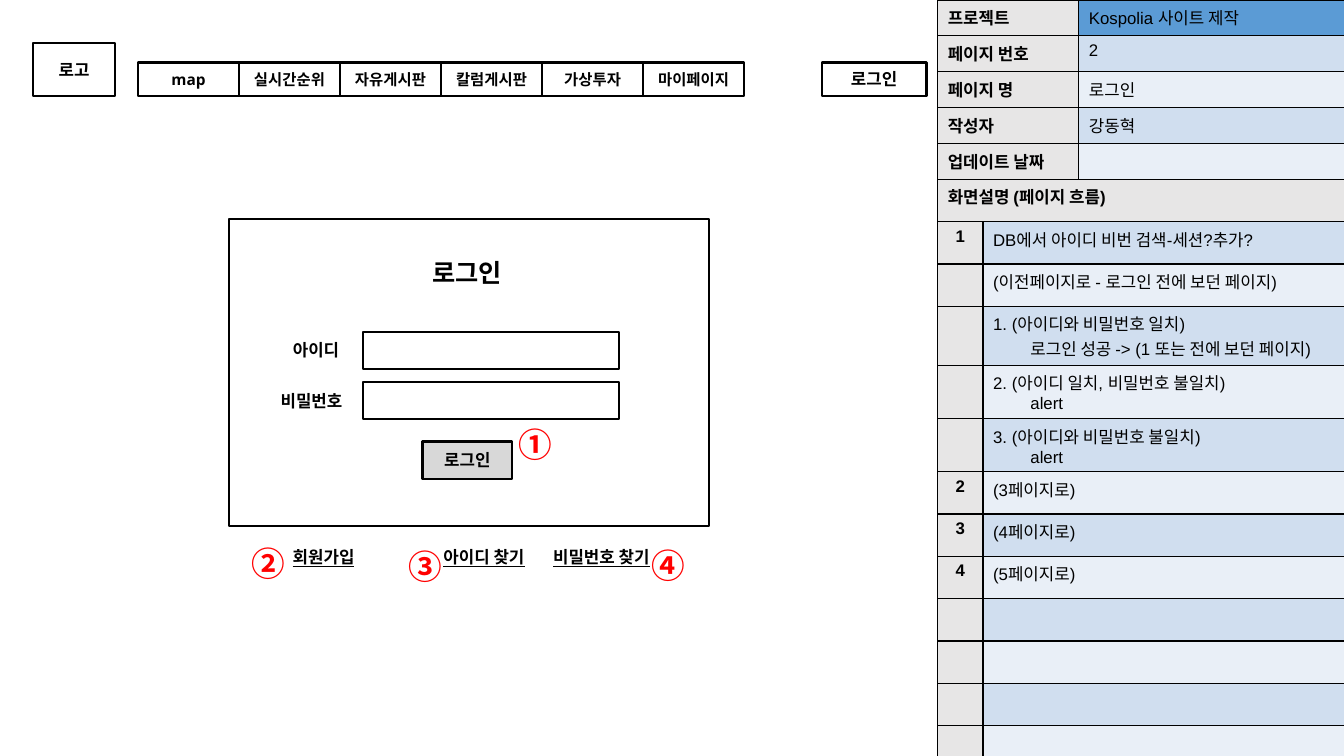
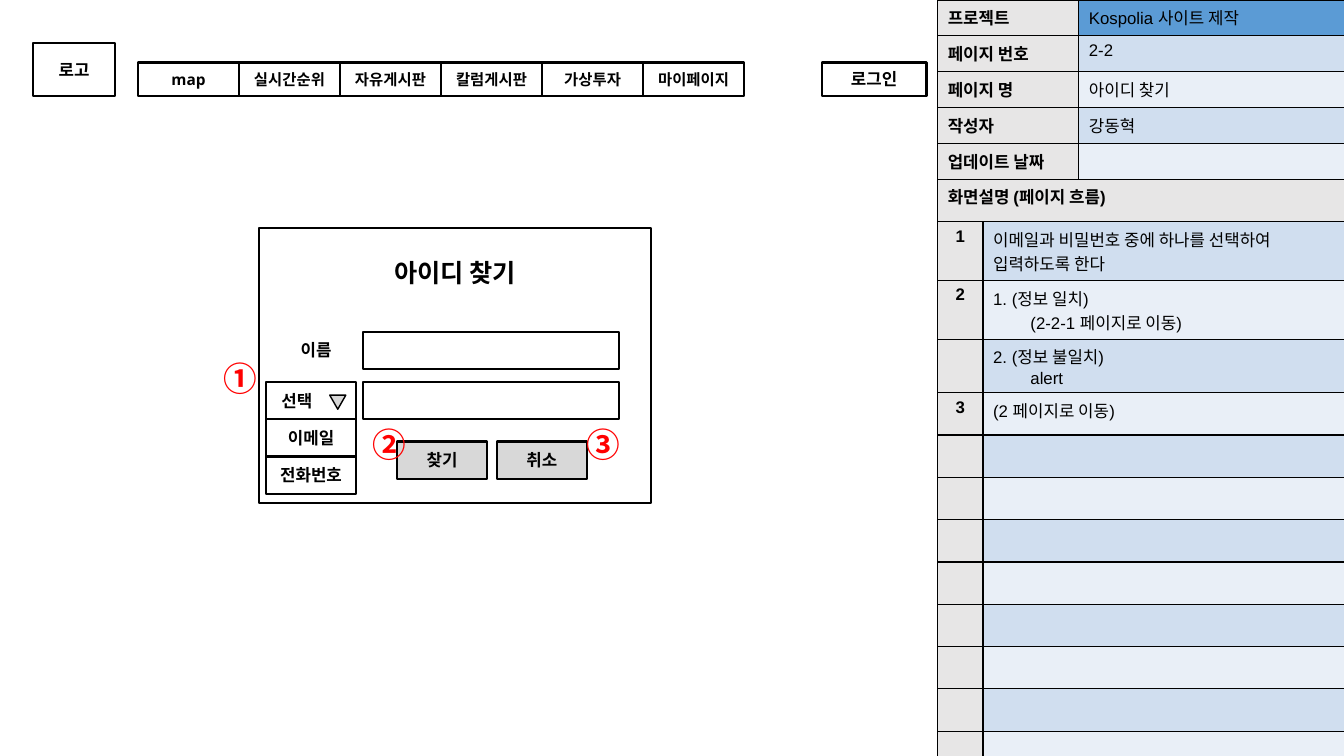
"""Build two wireframe pages with a shared header and a description panel."""
from lxml.etree import SubElement
from pptx import Presentation
from pptx.dml.color import RGBColor
from pptx.enum.shapes import MSO_SHAPE
from pptx.enum.text import MSO_ANCHOR, MSO_AUTO_SIZE, PP_ALIGN
from pptx.oxml.ns import qn
from pptx.util import Inches, Pt

COLORS = {
    "ink": "000000",
    "badge": "FF0000",
    "button": "D8D8D8",
    "label": "E7E6E6",
    "project": "5B9BD5",
    "dark_band": "D0DEEF",
    "light_band": "E9EFF7",
}
WIREFRAME_FONT = "Open Sans"
TABLE_FONT = "Arial"
KOREAN_FONT = "Noto Sans CJK KR"
MENU = ["map", "실시간순위", "자유게시판", "칼럼게시판", "가상투자", "마이페이지"]
PANEL_LEFT = 9.3
FLOW_TOP = 1.78
FLOW_ROWS = 12
FIELD_TOPS = [3.29, 3.79]
CONTROL_HEIGHT = 0.37

LOGIN_FLOW = [
    ("1", ["DB에서 아이디 비번 검색-세션?추가?"], []),
    ("", ["(이전페이지로 - 로그인 전에 보던 페이지)"], []),
    ("", ["1. (아이디와 비밀번호 일치)"], ["로그인 성공 -> (1 또는 전에 보던 페이지)"]),
    ("", ["2. (아이디 일치, 비밀번호 불일치)"], ["alert"]),
    ("", ["3. (아이디와 비밀번호 불일치)"], ["alert"]),
    ("2", ["(3페이지로)"], []),
    ("3", ["(4페이지로)"], []),
    ("4", ["(5페이지로)"], []),
]
FIND_FLOW = [
    ("1", ["이메일과 비밀번호 중에 하나를 선택하여", "입력하도록 한다"], []),
    ("2", ["1. (정보 일치)"], ["(2-2-1 페이지로 이동)"]),
    ("", ["2. (정보 불일치)"], ["alert"]),
    ("3", ["(2 페이지로 이동)"], []),
]


def color(name):
    """Return a palette colour."""
    return RGBColor.from_string(COLORS[name])


def box_of(left, top, width, height):
    """Turn four numbers into lengths."""
    return [Inches(value) for value in (left, top, width, height)]


def style_runs(para, size, font, bold=True, tint="ink", underline=False):
    """Format every run of a paragraph."""
    for span in para.runs:
        span.font.size = Pt(size)
        span.font.bold = bold
        if underline:
            span.font.underline = True
        span.font.color.rgb = color(tint)
        span.font.name = font
        SubElement(span.font._element, qn("a:ea"), typeface=KOREAN_FONT)


def write_label(shape, text, size=12, underline=False, align=PP_ALIGN.CENTER):
    """Write a bold wireframe label, centred vertically."""
    frame = shape.text_frame
    frame.text = text
    frame.word_wrap = True
    frame.auto_size = MSO_AUTO_SIZE.NONE
    frame.vertical_anchor = MSO_ANCHOR.MIDDLE
    frame.margin_left = frame.margin_right = Inches(0.1)
    frame.margin_top = frame.margin_bottom = Inches(0.1)
    para = frame.paragraphs[0]
    para.alignment = align
    style_runs(para, size, WIREFRAME_FONT, underline=underline)


def add_title(page, text, left):
    """Place the form title in the title placeholder."""
    title = page.shapes.title
    title.left, title.top, title.width, title.height = box_of(left, 2.52, 1.81, CONTROL_HEIGHT)
    write_label(title, text, size=18)


def add_outline(page, box, fill=None, kind=MSO_SHAPE.RECTANGLE, weight=1.5):
    """Add an outlined shape."""
    shape = page.shapes.add_shape(kind, *box_of(*box))
    shape.shadow.inherit = False
    shape.line.color.rgb = color("ink")
    shape.line.width = Pt(weight)
    if fill:
        shape.fill.solid()
        shape.fill.fore_color.rgb = color(fill)
    else:
        shape.fill.background()
    return shape


def add_box(page, text, box, fill=None, size=12, align=PP_ALIGN.CENTER):
    """Add an outlined box with a label."""
    shape = add_outline(page, box, fill)
    write_label(shape, text, size, align=align)
    return shape


def add_button(page, text, left):
    """Add a grey form button."""
    add_box(page, text, (left, 4.38, 0.89, CONTROL_HEIGHT), fill="button")


def add_caption(page, text, left, top, width, underline=False):
    """Add a plain or underlined caption."""
    caption = page.shapes.add_textbox(*box_of(left, top, width, CONTROL_HEIGHT))
    write_label(caption, text, underline=underline)


def add_badges(page, places):
    """Add red circled numbers, counted from one."""
    for number, (left, top) in zip("①②③④", places):
        frame = page.shapes.add_textbox(*box_of(left, top, 0.6, 0.5)).text_frame
        frame.text = number
        frame.word_wrap = True
        style_runs(frame.paragraphs[0], 24, KOREAN_FONT, tint="badge")


def add_grid(page, top, widths, heights):
    """Add a plain table in the panel."""
    box = box_of(PANEL_LEFT, top, sum(widths), sum(heights))
    table = page.shapes.add_table(len(heights), len(widths), *box).table
    table.first_row = table.horz_banding = False
    for column, width in zip(table.columns, widths):
        column.width = Inches(width)
    for row, height in zip(table.rows, heights):
        row.height = Inches(height)
    return table


def add_borders(cell):
    """Draw thin black lines around a cell."""
    properties = cell._tc.get_or_add_tcPr()
    for index, side in enumerate(("lnL", "lnR", "lnT", "lnB")):
        line = properties.makeelement(qn(f"a:{side}"), w=str(Pt(1)))
        fill = SubElement(line, qn("a:solidFill"))
        SubElement(fill, qn("a:srgbClr"), val=COLORS["ink"])
        properties.insert(index, line)


def fill_cell(cell, lines, fill, bold=False, align=None, indented=()):
    """Write lines, then indented lines, into a cell."""
    cell.fill.solid()
    cell.fill.fore_color.rgb = color(fill)
    add_borders(cell)
    cell.text = "\n".join([*lines, *indented])
    for index, para in enumerate(cell.text_frame.paragraphs):
        if align is not None:
            para.alignment = align
        if index >= len(lines):
            para._p.get_or_add_pPr().set("marL", str(Inches(0.37)))
        style_runs(para, 12, TABLE_FONT, bold)
        if not para.text:
            SubElement(para._p, qn("a:endParaRPr"), sz="1200")


def band(index):
    """Alternate the two row colours."""
    return "light_band" if index % 2 else "dark_band"


def add_page_table(page, number, name):
    """Add the table that identifies the page."""
    facts = [
        ("프로젝트", "Kospolia 사이트 제작"),
        ("페이지 번호", number),
        ("페이지 명", name),
        ("작성자", "강동혁"),
        ("업데이트 날짜", ""),
    ]
    table = add_grid(page, 0, [1.4, 2.64], [FLOW_TOP / len(facts)] * len(facts))
    for index, (label, value) in enumerate(facts):
        fill_cell(table.cell(index, 0), [label], "label", bold=True)
        fill = band(index - 1) if index else "project"
        fill_cell(table.cell(index, 1), [value], fill)


def add_flow_table(page, flow):
    """Add the table that describes the page flow."""
    steps = flow + [("", [""], [])] * (FLOW_ROWS - len(flow))
    heights = [0.51 if len(lines + indented) > 1 else 0.42 for _, lines, indented in steps]
    table = add_grid(page, FLOW_TOP, [0.45, 3.59], [0.42] + heights)
    heading = table.cell(0, 0)
    heading.merge(table.cell(0, 1))
    fill_cell(heading, ["화면설명 (페이지 흐름)"], "label", bold=True)
    add_borders(table.cell(0, 1))
    for index, (number, lines, indented) in enumerate(steps):
        fill_cell(table.cell(index + 1, 0), [number], "label", True, PP_ALIGN.CENTER)
        fill_cell(table.cell(index + 1, 1), lines, band(index), indented=indented)


def add_site_header(page):
    """Add the site mark, the menu and the login button."""
    add_box(page, "로고", (0.33, 0.43, 0.81, 0.52))
    add_box(page, "로그인", (8.15, 0.62, 1.04, 0.33))
    for index, entry in enumerate(MENU):
        add_box(page, entry, (1.37 + index * 1.002, 0.62, 1, 0.33), size=11)


def add_page(deck, title, title_left, number, flow, form):
    """Add a page with all shared parts and an empty form."""
    page = deck.slides.add_slide(deck.slide_layouts[5])
    add_title(page, title, title_left)
    add_outline(page, form)
    add_page_table(page, number, title)
    add_flow_table(page, flow)
    for top in FIELD_TOPS:
        add_outline(page, (3.6, top, 2.54, CONTROL_HEIGHT))
    add_site_header(page)
    return page


def add_login_page(deck):
    """Add the login page."""
    page = add_page(deck, "로그인", 3.73, "2", LOGIN_FLOW, (2.27, 2.17, 4.76, 3.05))
    add_caption(page, "아이디", 2.72, FIELD_TOPS[0], 0.83)
    add_caption(page, "비밀번호", 2.57, FIELD_TOPS[1], 1.04)
    links = [("회원가입", 2.69, 1.04), ("아이디 찾기", 4.19, 1.22), ("비밀번호 찾기", 5.31, 1.31)]
    for text, left, width in links:
        add_caption(page, text, left, 5.34, width, underline=True)
    add_button(page, "로그인", 4.19)
    add_badges(page, [(5.04, 4.16), (2.4, 5.34), (3.95, 5.37), (6.36, 5.36)])


def add_find_page(deck):
    """Add the page that finds a user name."""
    page = add_page(deck, "아이디 찾기", 3.61, "2-2", FIND_FLOW, (2.57, 2.26, 3.89, 2.73))
    add_caption(page, "이름", 2.72, FIELD_TOPS[0], 0.83)
    for index, choice in enumerate(["선택", "이메일", "전화번호"]):
        align = PP_ALIGN.CENTER if index else PP_ALIGN.LEFT
        top = FIELD_TOPS[1] + index * CONTROL_HEIGHT
        option = add_box(page, choice, (2.64, top, 0.89, CONTROL_HEIGHT), align=align)
        if index == 0:
            option.text_frame.margin_left = Inches(0.15)
    arrow = add_outline(page, (3.27, 3.92, 0.16, 0.14), "button", MSO_SHAPE.ISOSCELES_TRIANGLE, 1)
    arrow.rotation = 180
    add_button(page, "찾기", 3.94)
    add_button(page, "취소", 4.93)
    add_badges(page, [(2.12, 3.5), (3.6, 4.16), (5.72, 4.16)])


def main():
    """Build and save the deck."""
    deck = Presentation()
    deck.slide_width = Inches(13.33)
    deck.slide_height = Inches(7.5)
    add_login_page(deck)
    add_find_page(deck)
    deck.save("out.pptx")


main()
